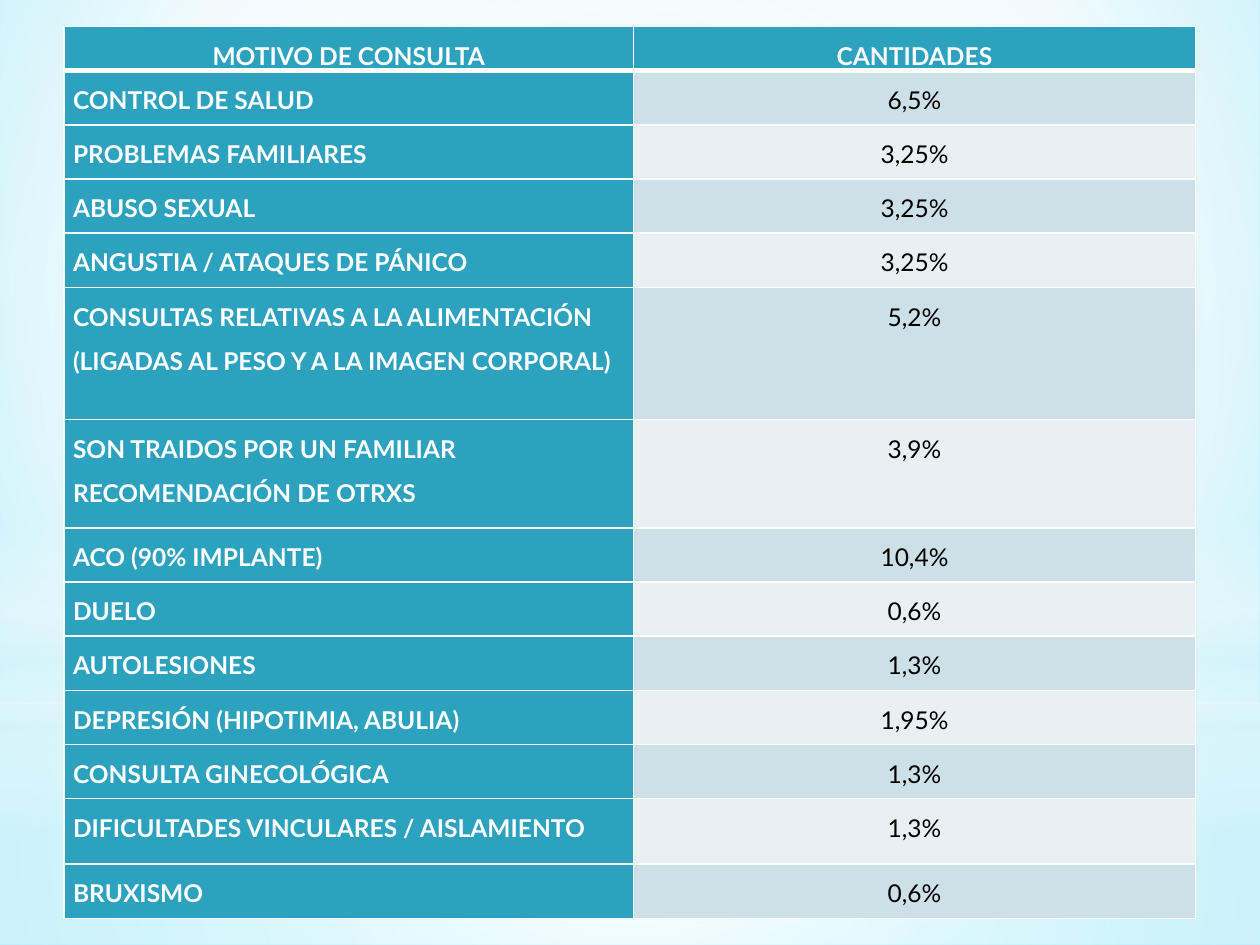
from dataclasses import dataclass

from lxml.etree import SubElement
from pptx import Presentation
from pptx.dml.color import RGBColor as RGB
from pptx.enum.shapes import MSO_SHAPE as Shape
from pptx.enum.text import PP_ALIGN as Align
from pptx.oxml.ns import qn
from pptx.util import Inches, Pt


@dataclass(frozen=True)
class Theme:
    font: str = "Lato"
    size: float = 14
    spacing: float = 1.5
    teal: str = "2DA2BF"
    white: str = "FFFFFF"
    black: str = "000000"
    pale: str = "DEF5FA"
    bands: tuple = ("CDE0E8", "E8F0F4")
    backdrop: tuple = ((0, "CDEFF7", 100), (60, "FFFFFF", 100), (100, "7CE7FF", 100))
    rule: float = 1
    header_rule: float = 3


@dataclass(frozen=True)
class Box:
    x: float
    y: float
    w: float
    h: float

    def inner(self, x, y, w, h):
        """A box inside this one, given as shares of its size."""
        return Box(self.x + x * self.w, self.y + y * self.h, w * self.w, h * self.h)

    def emu(self):
        return [Inches(v) for v in (self.x, self.y, self.w, self.h)]


T = Theme()
SLIDE = Box(0, 0, 10, 7.5)
CENTRE = (50, 50, 50, 50)
ROW = 0.43  # height of a one-line row, inches

HEADER = ("MOTIVO DE CONSULTA", "CANTIDADES")
HEADER_ROWS = 0.81
# Label, value, height in rows
REASONS = [
    ("CONTROL DE SALUD", "6,5%", 1),
    ("PROBLEMAS FAMILIARES", "3,25%", 1),
    ("ABUSO SEXUAL", "3,25%", 1),
    ("ANGUSTIA / ATAQUES DE PÁNICO", "3,25%", 1),
    ("CONSULTAS RELATIVAS A LA ALIMENTACIÓN\n"
     "(LIGADAS AL PESO Y A LA IMAGEN CORPORAL)", "5,2%", 2.44),
    ("SON TRAIDOS POR UN FAMILIAR\vRECOMENDACIÓN DE OTRXS", "3,9%", 2),
    ("ACO (90% IMPLANTE)", "10,4%", 1),
    ("DUELO", "0,6%", 1),
    ("AUTOLESIONES", "1,3%", 1),
    ("DEPRESIÓN (HIPOTIMIA, ABULIA)", "1,95%", 1),
    ("CONSULTA GINECOLÓGICA", "1,3%", 1),
    ("DIFICULTADES VINCULARES / AISLAMIENTO", "1,3%", 1.21),
    ("BRUXISMO", "0,6%", 1),
]


def set_gradient(props, stops, focus=None, angle=90):
    """Swap the solid fill in props for a radial (focus) or linear gradient."""
    solid = props.find(qn("a:solidFill"))
    grad = props.makeelement(qn("a:gradFill"), {"rotWithShape": "1"})
    props.replace(solid, grad)
    gs_list = SubElement(grad, qn("a:gsLst"))
    for pos, color, opacity in stops:
        gs = SubElement(gs_list, qn("a:gs"), pos=str(pos * 1000))
        clr = SubElement(gs, qn("a:srgbClr"), val=color)
        if opacity < 100:
            SubElement(clr, qn("a:alpha"), val=str(opacity * 1000))
    if focus:
        radial = SubElement(grad, qn("a:path"), {"path": "circle"})
        sides = {side: str(v * 1000) for side, v in zip("ltrb", focus)}
        SubElement(radial, qn("a:fillToRect"), sides)
    else:
        SubElement(grad, qn("a:lin"), ang=str(angle * 60000), scaled="0")


def add_glow(slide, box, stops, focus=None, kind=Shape.RECTANGLE):
    sp = slide.shapes.add_shape(kind, *box.emu())
    sp.shadow.inherit = False
    sp.line.fill.background()
    sp.fill.solid()
    set_gradient(sp.element.spPr, stops, focus)


def add_backdrop(slide, box):
    """Radial background with soft translucent layers."""
    slide.background.fill.solid()
    set_gradient(slide.element.find(".//" + qn("p:bgPr")), T.backdrop, (20, 10, 20, 60))

    horizon = 0.744
    add_glow(slide, box.inner(0, horizon, 1, 1 - horizon),
             [(0, T.white, 91), (37, T.white, 76), (100, T.pale, 79)], CENTRE)
    add_glow(slide, box.inner(0, 0, 1, horizon),
             [(0, T.white, 89), (48, T.white, 62), (100, T.pale, 79)], CENTRE)
    add_glow(slide, box.inner(0, 0.55, 1, 0.333),
             [(0, T.white, 0), (29, T.white, 30), (45, T.pale, 40),
              (55, T.white, 26), (65, T.pale, 60), (100, T.white, 0)])
    add_glow(slide, box.inner(0, 0.233, 1, horizon),
             [(0, T.white, 100), (56, T.white, 0)], CENTRE, Shape.OVAL)


def set_borders(cell, top, bottom):
    tc_pr = cell._tc.get_or_add_tcPr()
    widths = {"lnL": T.rule, "lnR": T.rule, "lnT": top, "lnB": bottom}
    for tag, width in widths.items():
        ln = SubElement(tc_pr, qn("a:" + tag), w=str(int(Pt(width))))
        SubElement(SubElement(ln, qn("a:solidFill")), qn("a:srgbClr"), val=T.white)


def fill_cell(cell, text, fill, color, bold, align, top=T.rule, bottom=T.rule):
    set_borders(cell, top, bottom)
    cell.fill.solid()
    cell.fill.fore_color.rgb = RGB.from_string(fill)
    cell.margin_left = cell.margin_right = Inches(0.07)
    cell.margin_top = cell.margin_bottom = 0
    cell.text_frame.text = text
    for p in cell.text_frame.paragraphs:
        p.alignment = align
        p.line_spacing = T.spacing
        for r in p.runs:
            r.font.name, r.font.size, r.font.bold = T.font, Pt(T.size), bold
            r.font.color.rgb = RGB.from_string(color)


def add_reasons_table(slide, box):
    """Reasons for consultation with their shares."""
    frame = slide.shapes.add_table(len(REASONS) + 1, len(HEADER), *box.emu())
    table = frame.table
    for col, share in zip(table.columns, (0.503, 0.497)):
        col.width = Inches(box.w * share)
    heights = [HEADER_ROWS] + [rows for _, _, rows in REASONS]
    for row, rows in zip(table.rows, heights):
        row.height = Inches(rows * ROW)

    # Header row
    for c, text in enumerate(HEADER):
        fill_cell(table.cell(0, c), text, T.teal, T.white, True, Align.CENTER,
                  bottom=T.header_rule)

    # Label column and banded value column
    for i, (label, value, _) in enumerate(REASONS):
        top = T.rule if i else T.header_rule
        fill_cell(table.cell(i + 1, 0), label, T.teal, T.white, True, Align.LEFT, top)
        fill_cell(table.cell(i + 1, 1), value, T.bands[i % 2], T.black, False,
                  Align.CENTER, top)


def main():
    prs = Presentation()
    prs.slide_width, prs.slide_height = Inches(SLIDE.w), Inches(SLIDE.h)
    slide = prs.slides.add_slide(prs.slide_layouts[6])
    add_backdrop(slide, SLIDE)
    add_reasons_table(slide, SLIDE.inner(0.051, 0.028, 0.898, 0.943))
    prs.save("out.pptx")


if __name__ == "__main__":
    main()
